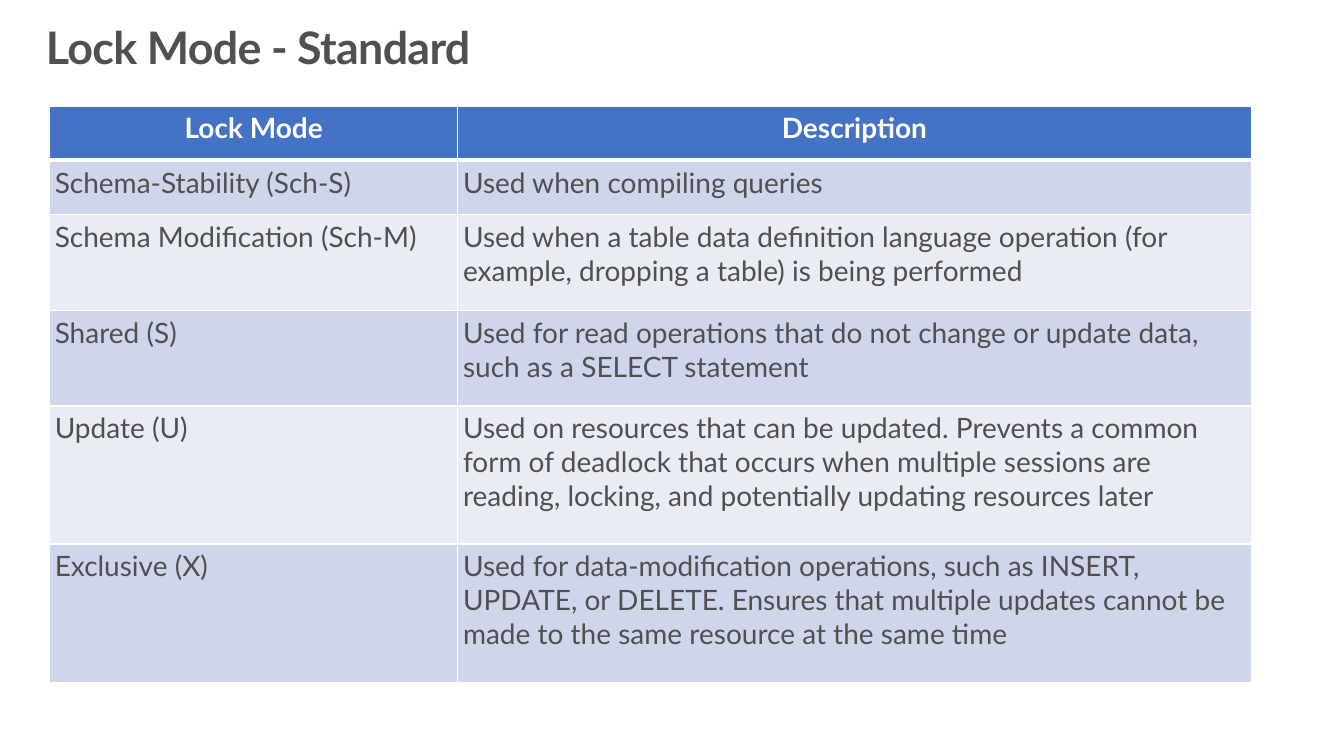
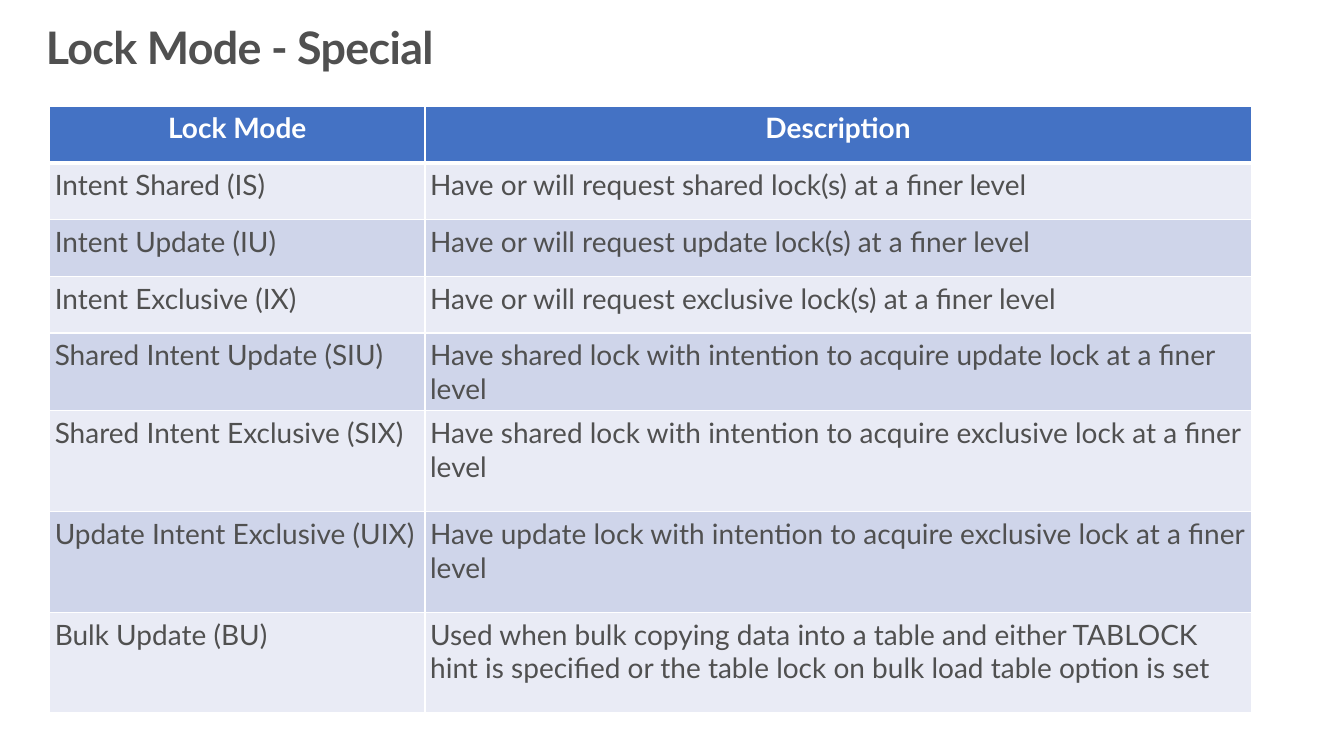
import pptx
import pptx.util
import pptx.dml.color
import pptx.enum.text
import pptx.oxml
import pptx.oxml.ns

Cm, Pt = pptx.util.Cm, pptx.util.Pt
ALIGN = pptx.enum.text.PP_ALIGN

COLORS = {
    "text": "505050",
    "white": "FFFFFF",
    "header": "4472C4",
    "dark": "CFD5EA",
    "light": "E9EBF5",
}
FONT = "Lato"
TABLE_LEFT, TABLE_TOP, TABLE_WIDTH = 1.25, 2.67, 30.28
CELL_MARGIN = Cm(0.13)

# Each slide: title, width of the first column, fills of alternate rows,
# header height, then rows of (height, mode, description)
SLIDES = [
    ("Lock Mode - Standard", 10.29, ("dark", "light"), 1.37, [
        (1.37, "Schema-Stability (Sch-S)", "Used when compiling queries"),
        (2.41, "Schema Modification (Sch-M)",
         "Used when a table data definition language operation "
         "(for example, dropping a table) is being performed"),
        (2.41, "Shared (S)",
         "Used for read operations that do not change or update data, "
         "such as a SELECT statement"),
        (3.48, "Update (U)",
         "Used on resources that can be updated. Prevents a common form of "
         "deadlock that occurs when multiple sessions are reading, locking, "
         "and potentially updating resources later"),
        (3.48, "Exclusive (X)",
         "Used for data-modification operations, such as INSERT, UPDATE, or "
         "DELETE. Ensures that multiple updates cannot be made to the same "
         "resource at the same time"),
    ]),
    ("Lock Mode - Special", 9.46, ("light", "dark"), 1.43, [
        (1.43, "Intent Shared (IS)",
         "Have or will request shared lock(s) at a finer level"),
        (1.43, "Intent Update (IU)",
         "Have or will request update lock(s) at a finer level"),
        (1.43, "Intent Exclusive (IX)",
         "Have or will request exclusive lock(s) at a finer level"),
        (1.91, "Shared Intent Update (SIU)",
         "Have shared lock with intention to acquire update lock at a finer level"),
        (2.54, "Shared Intent Exclusive (SIX)",
         "Have shared lock with intention to acquire exclusive lock at a finer level"),
        (2.54, "Update Intent Exclusive (UIX)",
         "Have update lock with intention to acquire exclusive lock at a finer level"),
        (2.54, "Bulk Update (BU)",
         "Used when bulk copying data into a table and either TABLOCK hint is "
         "specified or the table lock on bulk load table option is set"),
    ]),
]


def write(tf, text, size=20, color="text", bold=False, align=ALIGN.LEFT,
          line_spacing=None, tracking=None):
    """Put one formatted paragraph in a text frame."""
    tf.word_wrap = True
    p = tf.paragraphs[0]
    p.alignment = align
    if line_spacing:
        p.line_spacing = line_spacing
    r = p.add_run()
    r.text = text
    r.font.name = FONT
    r.font.size = Pt(size)
    r.font.bold = bold
    r.font.color.rgb = pptx.dml.color.RGBColor.from_string(COLORS[color])
    if tracking:
        r.font._element.set("spc", str(round(tracking * 100)))


def style_cell(cell, fill, top=1, bottom=1):
    """Set margins, fill and white borders (widths in points)."""
    cell.margin_left = cell.margin_right = CELL_MARGIN
    cell.margin_top = cell.margin_bottom = CELL_MARGIN
    cell.fill.solid()
    cell.fill.fore_color.rgb = pptx.dml.color.RGBColor.from_string(COLORS[fill])
    borders = [("lnL", 1), ("lnR", 1), ("lnT", top), ("lnB", bottom)]
    for i, (tag, width) in enumerate(borders):
        ln = pptx.oxml.parse_xml(
            f'<a:{tag} {pptx.oxml.ns.nsdecls("a")} w="{Pt(width)}"><a:solidFill>'
            f'<a:srgbClr val="{COLORS["white"]}"/></a:solidFill></a:{tag}>')
        cell._tc.get_or_add_tcPr().insert(i, ln)


prs = pptx.Presentation()
prs.slide_width, prs.slide_height = Cm(33.87), Cm(19.05)

for title, mode_width, bands, header_height, rows in SLIDES:
    s = prs.slides.add_slide(prs.slide_layouts[6])

    # Title
    tf = s.shapes.add_textbox(Cm(0.75), Cm(0.41), Cm(32.39), Cm(2.49)).text_frame
    tf.margin_left = tf.margin_right = Cm(0.41)
    tf.margin_top = tf.margin_bottom = Cm(0.25)
    write(tf, title, size=32, bold=True, line_spacing=0.9, tracking=-0.5)

    # Table
    lines = [(header_height, "Lock Mode", "Description")] + rows
    table = s.shapes.add_table(
        len(lines), 2, Cm(TABLE_LEFT), Cm(TABLE_TOP), Cm(TABLE_WIDTH),
        Cm(sum(line[0] for line in lines))).table
    table.horz_banding = False
    table.columns[0].width = Cm(mode_width)
    table.columns[1].width = Cm(TABLE_WIDTH - mode_width)

    for i, (height, *texts) in enumerate(lines):
        table.rows[i].height = Cm(height)
        for cell, text in zip(table.rows[i].cells, texts):
            if i == 0:
                style_cell(cell, "header", bottom=3)
                write(cell.text_frame, text, color="white", bold=True,
                      align=ALIGN.CENTER)
            else:
                style_cell(cell, bands[(i - 1) % 2], top=3 if i == 1 else 1)
                write(cell.text_frame, text)

prs.save("out.pptx")
